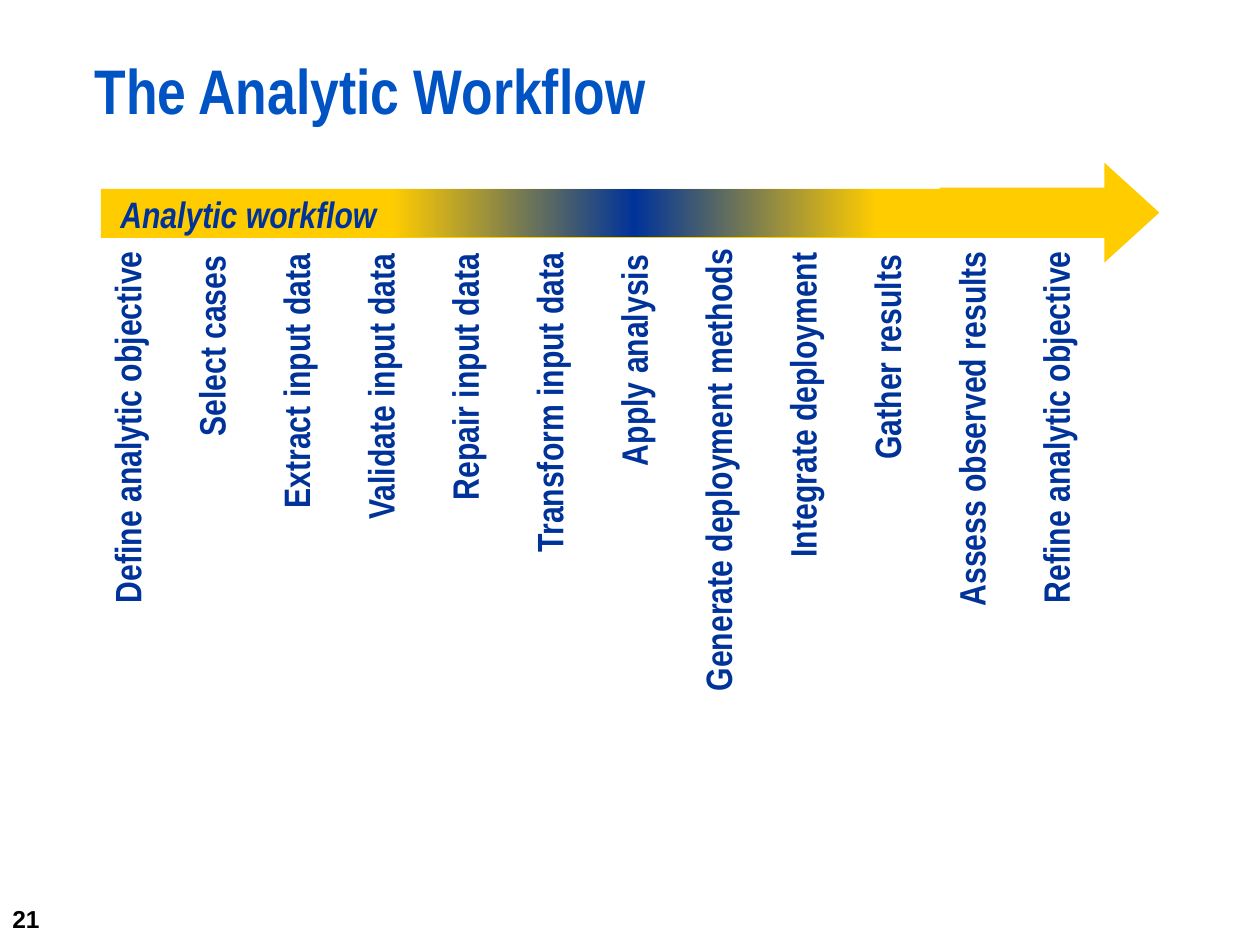
from copy import deepcopy

from pptx import Presentation
from pptx.dml.color import RGBColor
from pptx.enum import shapes, text
from pptx.oxml.ns import qn
from pptx.util import Pt

TITLE = "The Analytic Workflow"
BAND = "Analytic workflow"
NUMBER = "21"
# step, length of its box in points
STEPS = [
    ("Define analytic objective", 215),
    ("Select cases", 117.5),
    ("Extract input data", 160),
    ("Validate input data", 167),
    ("Repair input data", 155),
    ("Transform input data", 186.5),
    ("Apply analysis", 134.5),
    ("Generate deployment methods", 267),
    ("Integrate deployment", 188.5),
    ("Gather results", 131),
    ("Assess observed results", 217.5),
    ("Refine analytic objective", 215),
]

THEME = {
    "title": ("Arial Narrow", 36, "0053C3"),
    "label": ("Arial Narrow", 21, "003399"),
    "number": ("Arial", 14, "000000"),
    "gold": RGBColor.from_string("FFCC00"),
    "navy": RGBColor.from_string("003399"),
}
FIRST_X, PITCH, STEP_H = 72.4, 48.24, 32.4
STEP_TOP, TOP_SHIFT = 142, 0.025  # longer steps start slightly higher


def write(sp, words, style, anchor=text.MSO_ANCHOR.TOP, align=text.PP_ALIGN.LEFT,
          insets=(7.2, 3.6, 7.2, 3.6), wrap=False, italic=None):
    tf = sp.text_frame
    tf.margin_left, tf.margin_top, tf.margin_right, tf.margin_bottom = map(Pt, insets)
    tf.word_wrap, tf.vertical_anchor = wrap, anchor
    p = tf.paragraphs[0]
    p.text, p.alignment = words, align
    name, size, color = THEME[style]
    p.font.name, p.font.size = name, Pt(size)
    p.font.bold, p.font.italic = True, italic
    p.font.color.rgb = RGBColor.from_string(color)
    return p


def add_box(s, x, y, w, h):
    return s.shapes.add_textbox(Pt(x), Pt(y), Pt(w), Pt(h))


def add_shape(parent, kind, x, y, w, h):
    sp = parent.shapes.add_shape(kind, Pt(x), Pt(y), Pt(w), Pt(h))
    sp.shadow.inherit = False
    sp.line.fill.background()
    sp.fill.solid()
    sp.fill.fore_color.rgb = THEME["gold"]
    return sp


def fill_gradient(sp, colors):
    """Fill from left to right with evenly spaced colours."""
    sp.fill.gradient()
    sp.fill.gradient_angle = 0
    stops = sp._element.spPr.find(qn("a:gradFill")).find(qn("a:gsLst"))
    while len(stops) < len(colors):
        stops.append(deepcopy(stops[0]))
    for i, (stop, color) in enumerate(zip(sp.fill.gradient_stops, colors)):
        stop.position = i / (len(colors) - 1)
        stop.color.rgb = color


def add_arrow(s):
    group = s.shapes.add_group_shape()
    head = add_shape(group, shapes.MSO_SHAPE.RIGHT_ARROW, 537, 93, 125.5, 57)
    head.adjustments[0], head.adjustments[1] = 0.5, 0.55
    band = add_shape(group, shapes.MSO_SHAPE.RECTANGLE, 57.6, 108, 581, 28)
    write(band, BAND, "label", text.MSO_ANCHOR.MIDDLE,
          insets=(11.2, 3.6, 7.2, 3.6), wrap=True, italic=True)


def add_step(s, i, words, length):
    """Turn a label upright; no left inset, so that it stays on one line."""
    center_x = FIRST_X + i * PITCH
    center_y = STEP_TOP - TOP_SHIFT * length + length / 2
    sp = add_box(s, center_x - length / 2, center_y - STEP_H / 2, length, STEP_H)
    sp.rotation = 270
    write(sp, words, "label", align=text.PP_ALIGN.RIGHT,
          insets=(0, 3.6, 7.2, 3.6), wrap=True)


def main():
    prs = Presentation()
    prs.slide_width, prs.slide_height = Pt(720), Pt(540)
    s = prs.slides.add_slide(prs.slide_layouts[6])

    write(add_box(s, 0, 510, 42, 30), NUMBER, "number", text.MSO_ANCHOR.MIDDLE)
    p = write(add_box(s, 54, 36.7, 666, 53.3), TITLE, "title",
              insets=(0, 0, 0, 0), wrap=True)
    p.line_spacing = 0.83

    add_arrow(s)
    for i, (words, length) in enumerate(STEPS):
        add_step(s, i, words, length)
    glow = add_shape(s, shapes.MSO_SHAPE.RECTANGLE, 224, 108, 277, 27.4)
    fill_gradient(glow, [THEME["gold"], THEME["navy"], THEME["gold"]])

    prs.save("out.pptx")


if __name__ == "__main__":
    main()
